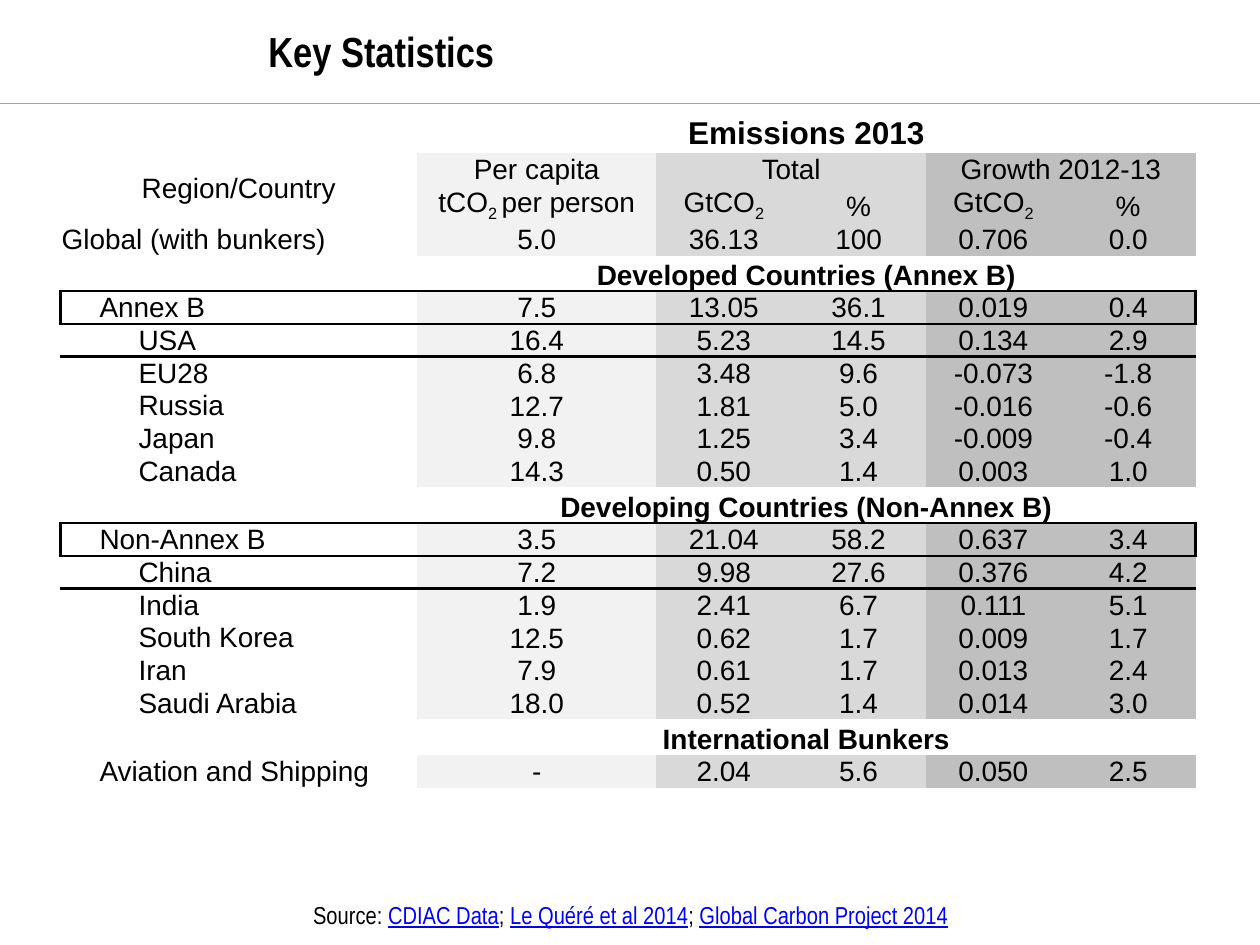
from lxml.etree import SubElement
from pptx import Presentation
from pptx.dml.color import RGBColor
from pptx.enum.shapes import MSO_CONNECTOR
from pptx.enum.text import MSO_ANCHOR as ANCHOR, MSO_AUTO_SIZE, PP_ALIGN as ALIGN
from pptx.oxml.ns import qn
from pptx.util import Inches, Pt

TITLE = "Key Statistics"
SUB = {"baseline": "-25000"}
LINK = {"color": "0000FF", "underline": True}
SOURCE = [("Source: ", {}), ("CDIAC Data", LINK), ("; ", {}),
          ("Le Quéré et al 2014", LINK), ("; ", {}),
          ("Global Carbon Project 2014", LINK)]
GT = [("GtCO", {}), ("2", SUB)]
PER_PERSON = [("tCO", {}), ("2 ", SUB), ("per person", {})]

ROWS = [
    ("", "Emissions 2013"),
    ("Region/Country", "Per capita", "Total", "", "Growth 2012-13", ""),
    ("", PER_PERSON, GT, "%", GT, "%"),
    ("Global (with bunkers)", "5.0", "36.13", "100", "0.706", "0.0"),
    ("", "Developed Countries (Annex B)"),
    ("Annex B", "7.5", "13.05", "36.1", "0.019", "0.4"),
    ("USA", "16.4", "5.23", "14.5", "0.134", "2.9"),
    ("EU28", "6.8", "3.48", "9.6", "-0.073", "-1.8"),
    ("Russia", "12.7", "1.81", "5.0", "-0.016", "-0.6"),
    ("Japan", "9.8", "1.25", "3.4", "-0.009", "-0.4"),
    ("Canada", "14.3", "0.50", "1.4", "0.003", "1.0"),
    ("", "Developing Countries (Non-Annex B)"),
    ("Non-Annex B", "3.5", "21.04", "58.2", "0.637", "3.4"),
    ("China", "7.2", "9.98", "27.6", "0.376", "4.2"),
    ("India", "1.9", "2.41", "6.7", "0.111", "5.1"),
    ("South Korea", "12.5", "0.62", "1.7", "0.009", "1.7"),
    ("Iran", "7.9", "0.61", "1.7", "0.013", "2.4"),
    ("Saudi Arabia", "18.0", "0.52", "1.4", "0.014", "3.0"),
    ("", "International Bunkers"),
    ("Aviation and Shipping", "-", "2.04", "5.6", "0.050", "2.5"),
]
COL_WIDTHS = [2.83, 1.9] + [1.07] * 4
COL_FILLS = ["FFFFFF", "F2F2F2", "D9D9D9", "D9D9D9", "BFBFBF", "BFBFBF"]
GROUPS = ["Annex B", "Non-Annex B", "Aviation and Shipping"]
BOXED = GROUPS[:2]
FIRST_COUNTRY_ROW = 5
NO_STYLE = "{2D5ABB26-0587-4C30-8999-92F81FD0307C}"


def rgb(value):
    return RGBColor.from_string(value)


def write(tf, text, size=16, font="Arial", bold=False, align=ALIGN.LEFT, indent=0):
    p = tf.paragraphs[0]
    p.alignment = align
    p.space_before = Pt(0)
    pPr = p._p.get_or_add_pPr()
    pPr.set("marL", str(Inches(indent)))
    pPr.set("indent", "0")
    SubElement(pPr, qn("a:buNone"))
    if not text:
        SubElement(p._p, qn("a:endParaRPr")).set("sz", str(size * 100))
        return
    for part, style in [(text, {})] if isinstance(text, str) else text:
        r = p.add_run()
        r.text = part
        r.font.size, r.font.name, r.font.bold = Pt(size), font, bold
        r.font.color.rgb = rgb(style.get("color", "000000"))
        r.font.underline = style.get("underline", False)
        if "baseline" in style:
            r.font._element.set("baseline", style["baseline"])


def add_border(cell, side):
    ln = SubElement(cell._tc.get_or_add_tcPr(), qn("a:ln" + side), w=str(Pt(1.5)))
    fill = SubElement(ln, qn("a:solidFill"))
    SubElement(fill, qn("a:srgbClr"), val="000000")


def border_sides(row, col):
    def boxed(i):
        return 0 <= i < len(ROWS) and ROWS[i][0] in BOXED
    here = boxed(row)
    wanted = {"L": here and col == 0, "R": here and col == len(COL_WIDTHS) - 1,
              "T": here or boxed(row - 1), "B": here or boxed(row + 1)}
    return [side for side, on in wanted.items() if on]


def fill_cell(cell, row, col):
    heading = len(ROWS[row]) == 2
    text = ROWS[row][col] if col < len(ROWS[row]) else ""
    indent = 0
    if col == 0 and row >= FIRST_COUNTRY_ROW:
        indent = 0.3 if text in GROUPS else 0.61
    cell.margin_left = cell.margin_right = cell.margin_top = Inches(0.01)
    cell.margin_bottom = 0
    top = col == 0 or row < 2 or (row == 2 and col == 1)
    cell.vertical_anchor = ANCHOR.MIDDLE if top else ANCHOR.BOTTOM
    for side in border_sides(row, col):
        add_border(cell, side)
    cell.fill.solid()
    cell.fill.fore_color.rgb = rgb("FFFFFF" if heading else COL_FILLS[col])
    write(cell.text_frame, text, size=18 if row == 0 else 16, bold=heading,
          align=ALIGN.LEFT if col == 0 and row > 2 else ALIGN.CENTER, indent=indent)


def add_statistics(slide):
    frame = slide.shapes.add_table(len(ROWS), len(COL_WIDTHS), Inches(0.48), Inches(0.9),
                                   Inches(sum(COL_WIDTHS)), Inches(5.2))
    table = frame.table
    table.first_row = table.horz_banding = False
    table._tbl.tblPr.find(qn("a:tableStyleId")).text = NO_STYLE
    for column, width in zip(table.columns, COL_WIDTHS):
        column.width = Inches(width)
    for i, row in enumerate(ROWS):
        table.rows[i].height = Inches(0.29 if i == 0 else 0.26)
        for j in range(len(COL_WIDTHS)):
            fill_cell(table.cell(i, j), i, j)
        if len(row) == 2:
            table.cell(i, 1).merge(table.cell(i, 5))
    table.cell(1, 0).merge(table.cell(2, 0))
    for col in (2, 4):
        table.cell(1, col).merge(table.cell(1, col + 1))


def place(sp, box, anchor):
    sp.left, sp.top, sp.width, sp.height = map(Inches, box)
    tf = sp.text_frame
    tf.word_wrap = True
    tf.auto_size = MSO_AUTO_SIZE.NONE
    tf.vertical_anchor = anchor
    return tf


def main():
    prs = Presentation()
    prs.slide_width, prs.slide_height = Inches(10), Inches(7.5)
    slide = prs.slides.add_slide(prs.slide_layouts[1])
    rule = slide.shapes.add_connector(MSO_CONNECTOR.STRAIGHT, 0, Inches(0.82),
                                      Inches(10), Inches(0.82))
    rule.line.color.rgb = rgb("98B955")
    rule.line.width = Pt(0.75)
    SubElement(rule._element.spPr, qn("a:effectLst"))
    add_statistics(slide)
    title = place(slide.shapes.title, (2.03, 0.13, 7.97, 0.55), ANCHOR.MIDDLE)
    write(title, TITLE, size=24, font="Arial Narrow", bold=True)
    source = place(slide.placeholders[1], (0.21, 6.83, 9.59, 0.6), ANCHOR.BOTTOM)
    write(source, SOURCE, size=14, font="Arial Narrow", align=ALIGN.CENTER)
    prs.save("out.pptx")


if __name__ == "__main__":
    main()
